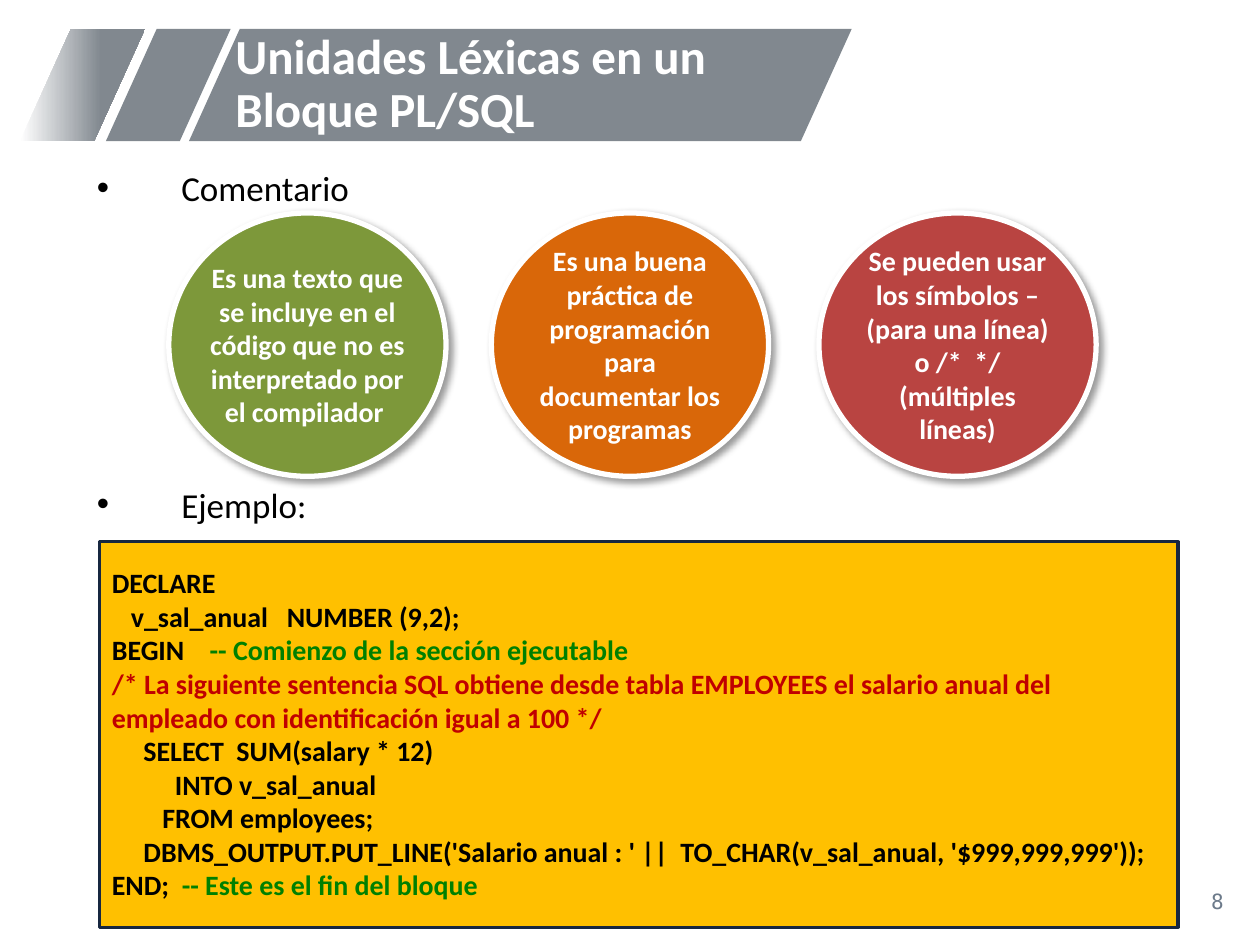
from dataclasses import dataclass

from lxml import etree
from pptx import Presentation
from pptx.dml.color import RGBColor
from pptx.enum.shapes import MSO_SHAPE
from pptx.enum.text import MSO_ANCHOR, PP_ALIGN
from pptx.oxml.ns import qn
from pptx.util import Inches, Pt

PARALLELOGRAM, ELLIPSE, RECTANGLE = MSO_SHAPE.PARALLELOGRAM, MSO_SHAPE.OVAL, MSO_SHAPE.RECTANGLE
TOP, MIDDLE = MSO_ANCHOR.TOP, MSO_ANCHOR.MIDDLE
LEFT, CENTER, RIGHT, JUSTIFY = PP_ALIGN.LEFT, PP_ALIGN.CENTER, PP_ALIGN.RIGHT, PP_ALIGN.JUSTIFY


@dataclass(frozen=True)
class Theme:
    """Colours, fonts and type sizes of the slide."""

    font: str = "Calibri"
    number_font: str = "DejaVu Sans Mono"
    white: str = "FFFFFF"
    black: str = "000000"
    banner: str = "81888F"
    number: str = "6C7A8A"
    green: str = "7D983A"
    orange: str = "D96709"
    red: str = "B94441"
    code_fill: str = "FFC000"
    code_border: str = "172740"
    line_comment: str = "008000"
    block_comment: str = "C00000"
    title_size: int = 28
    bullet_size: int = 20
    body_size: int = 16
    number_size: int = 12


THEME = Theme()


@dataclass(frozen=True)
class Band:
    """One slanted piece of the title banner."""

    left: float
    width: float
    fades: bool = False


@dataclass(frozen=True)
class Circle:
    """One coloured idea about comments."""

    left: float
    color: str
    text: str


@dataclass(frozen=True)
class Bullet:
    """One bulleted heading."""

    top: float
    text: str


@dataclass(frozen=True)
class Span:
    """A stretch of text in one colour."""

    text: str
    color: str = THEME.black


BANDS = (Band(1.5, 5.26), Band(0.84, 0.99), Band(0.16, 0.99, fades=True))
CIRCLES = (
    Circle(1.34, THEME.green, "Es una texto que se incluye en el código que no es interpretado por el compilador "),
    Circle(3.9, THEME.orange, "Es una buena práctica de programación para documentar los programas"),
    Circle(6.5, THEME.red, "Se pueden usar los símbolos – (para una línea) o /*  */ (múltiples líneas)"),
)
BULLETS = (Bullet(1.34, "Comentario"), Bullet(3.85, "Ejemplo:"))
CODE = (
    (Span("DECLARE"),),
    (Span("   v_sal_anual   NUMBER (9,2);"),),
    (Span("BEGIN    "), Span("-- Comienzo de la sección ejecutable", THEME.line_comment)),
    (Span("/* La siguiente sentencia SQL obtiene desde tabla EMPLOYEES el salario anual del "
          "empleado con identificación igual a 100 */", THEME.block_comment),),
    (Span("     SELECT  SUM(salary * 12)"),),
    (Span("          INTO v_sal_anual"),),
    (Span("        FROM employees;"),),
    (Span("     DBMS_OUTPUT.PUT_LINE('Salario anual : ' ||  TO_CHAR(v_sal_anual, '$999,999,999'));"),),
    (Span("END;  "), Span("-- Este es el fin del bloque", THEME.line_comment)),
)


def write_text(box, lines, *, size, bold=False, font=THEME.font, align=LEFT, anchor=TOP,
               spacing=1.0, insets=(0.1, 0.05)):
    """Fill a box with lines of spans and return its frame."""
    frame = box.text_frame
    frame.word_wrap = True
    frame.vertical_anchor = anchor
    frame.margin_left = frame.margin_right = Inches(insets[0])
    frame.margin_top = frame.margin_bottom = Inches(insets[1])
    for index, line in enumerate(lines):
        para = frame.add_paragraph() if index else frame.paragraphs[0]
        para.alignment = align
        para.line_spacing = spacing
        for span in line:
            run = para.add_run()
            run.text = span.text
            run.font.name, run.font.size, run.font.bold = font, Pt(size), bold
            run.font.color.rgb = RGBColor.from_string(span.color)
    return frame


def add_box(page, left: float, top: float, width: float, height: float):
    """Add an empty text box."""
    return page.shapes.add_textbox(Inches(left), Inches(top), Inches(width), Inches(height))


def add_figure(page, kind, left: float, top: float, width: float, height: float,
               fill: str, line: str = "", line_width: float = 0):
    """Add a filled preset shape, outlined when a line colour is given."""
    figure = page.shapes.add_shape(kind, Inches(left), Inches(top), Inches(width), Inches(height))
    figure.shadow.inherit = False
    figure.fill.solid()
    figure.fill.fore_color.rgb = RGBColor.from_string(fill)
    if line:
        figure.line.color.rgb = RGBColor.from_string(line)
        figure.line.width = Pt(line_width)
    else:
        figure.line.fill.background()
    return figure


def draw_band(page, band: Band) -> None:
    """Draw one slanted piece of the banner."""
    figure = add_figure(page, PARALLELOGRAM, band.left, 0.23, band.width, 0.89, THEME.banner)
    figure.adjustments[0] = 0.453
    if band.fades:
        figure.fill.gradient()
        figure.fill.gradient_angle = 0
        stops = ((0, THEME.white), (0.65, THEME.banner))
        for stop, (position, color) in zip(figure.fill.gradient_stops, stops):
            stop.position = position
            stop.color.rgb = RGBColor.from_string(color)


def cast_shadow(figure) -> None:
    """Give a figure a soft shadow to its lower right."""
    effects = figure._element.spPr.find(qn("a:effectLst"))
    shadow = etree.SubElement(effects, qn("a:outerShdw"), blurRad=str(Pt(4)), dist=str(Pt(3)),
                              dir="2700000", algn="tl", rotWithShape="0")
    color = etree.SubElement(shadow, qn("a:srgbClr"), val=THEME.black)
    etree.SubElement(color, qn("a:alpha"), val="40000")


def draw_circle(page, circle: Circle) -> None:
    """Draw one idea with its white rim and shadow."""
    figure = add_figure(page, ELLIPSE, circle.left, 1.69, 2.2, 2.09, circle.color, THEME.white, 3)
    cast_shadow(figure)
    write_text(figure, [[Span(circle.text, THEME.white)]], size=THEME.body_size, bold=True,
               align=CENTER, anchor=MIDDLE, insets=(0, 0))


def draw_bullet(page, bullet: Bullet) -> None:
    """Draw one bulleted heading with a hanging indent."""
    frame = write_text(add_box(page, 0.67, bullet.top, 8.58, 0.45), [[Span(bullet.text)]],
                       size=THEME.bullet_size, align=JUSTIFY, spacing=0.8)
    properties = frame.paragraphs[0]._p.get_or_add_pPr()
    properties.set("marL", str(Inches(0.67)))
    properties.set("indent", str(-Inches(0.67)))
    etree.SubElement(properties, qn("a:buFont"), typeface="Arial")
    etree.SubElement(properties, qn("a:buChar"), char="•")


def main() -> None:
    """Build the slide and save it."""
    deck = Presentation()
    deck.slide_width, deck.slide_height = Inches(10), Inches(7.5)
    page = deck.slides.add_slide(deck.slide_layouts[6])
    for band in BANDS:
        draw_band(page, band)
    write_text(add_box(page, 7.56, 6.95, 2.25, 0.4), [[Span("8", THEME.number)]],
               size=THEME.number_size, font=THEME.number_font, align=RIGHT, anchor=MIDDLE)
    for bullet in BULLETS:
        draw_bullet(page, bullet)
    write_text(add_box(page, 1.77, 0.23, 4.69, 0.89),
               [[Span("Unidades Léxicas en un Bloque PL/SQL", THEME.white)]],
               size=THEME.title_size, bold=True, anchor=MIDDLE, spacing=0.9)
    for circle in CIRCLES:
        draw_circle(page, circle)
    panel = add_figure(page, RECTANGLE, 0.79, 4.3, 8.56, 3.06, THEME.code_fill, THEME.code_border, 1.75)
    write_text(panel, CODE, size=THEME.body_size, bold=True, insets=(0.1, 0.19))
    deck.save("out.pptx")


if __name__ == "__main__":
    main()
